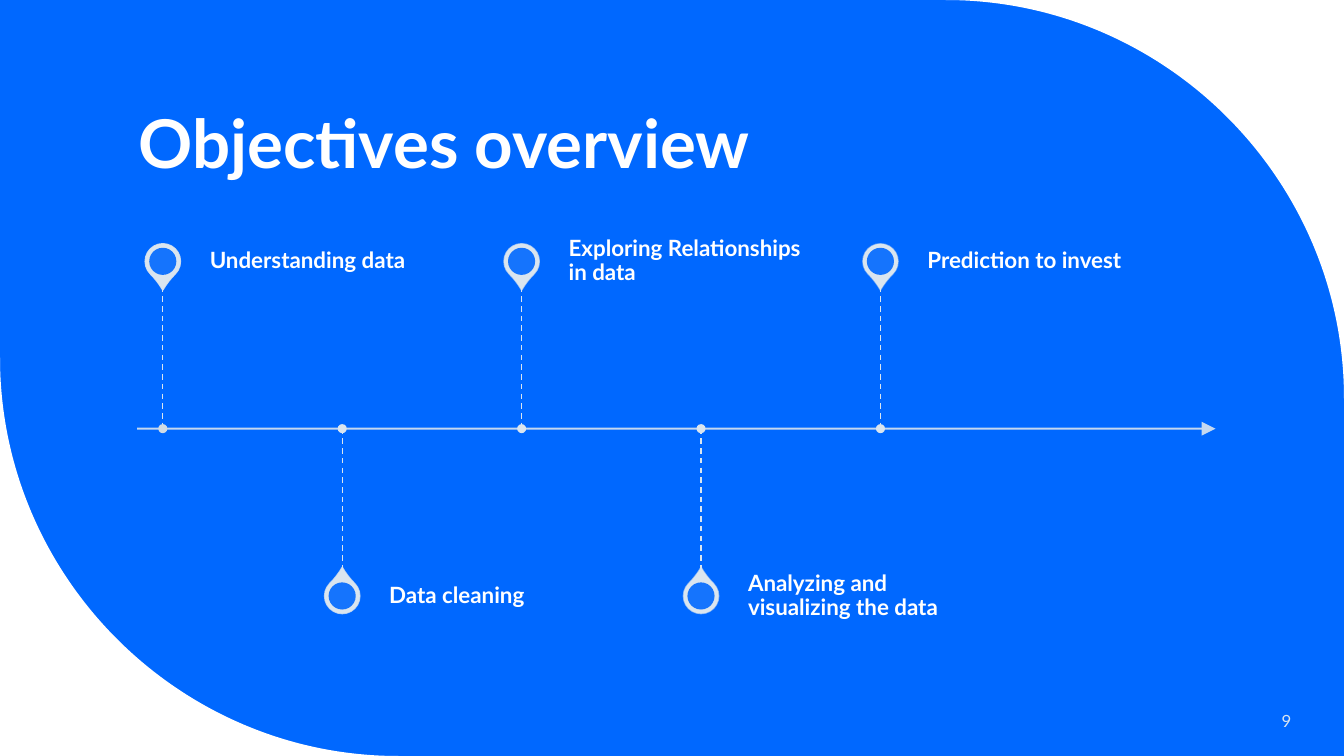
"""Build the objectives overview slide: a timeline with five pinned milestones."""
from dataclasses import dataclass

from lxml.etree import SubElement
from pptx import Presentation
from pptx.dml.color import RGBColor
from pptx.enum.dml import MSO_LINE
from pptx.enum.shapes import MSO_CONNECTOR, MSO_SHAPE
from pptx.enum.text import MSO_ANCHOR, PP_ALIGN
from pptx.oxml.ns import qn
from pptx.util import Pt

STRAIGHT = MSO_CONNECTOR.STRAIGHT
OVAL, TEARDROP = MSO_SHAPE.OVAL, MSO_SHAPE.TEAR
DASH = MSO_LINE.DASH
LEFT, RIGHT = PP_ALIGN.LEFT, PP_ALIGN.RIGHT
MIDDLE, BOTTOM = MSO_ANCHOR.MIDDLE, MSO_ANCHOR.BOTTOM


@dataclass(frozen=True)
class Theme:
    blue: RGBColor = RGBColor(0x00, 0x68, 0xFF)
    white: RGBColor = RGBColor(0xFF, 0xFF, 0xFF)
    mist: RGBColor = RGBColor(0xDA, 0xE5, 0xEF)
    first_dot: RGBColor = RGBColor(0xD0, 0xDB, 0xE4)
    font: str = "Lato"
    title_size: int = 48
    label_size: int = 16
    number_size: int = 12


theme = Theme()
WIDTH, HEIGHT = 960, 540
CORNER_RADIUS, CURVE_PULL = 284.5, 0.45
AXIS_Y, AXIS_LEFT, AXIS_RIGHT = 306.2, 98, 868.3
FIRST_X, STEP_X = 116.3, 128.15
PIN_OFFSET, STEM_LENGTH = 119.5, 101.5
PIN_SIZE, HOLE_SIZE, DOT_SIZE = 25.2, 19.4, 6.5
LABEL_GAP, LABEL_WIDTH, LABEL_HEIGHT = 33.6, 182.5, 36
MILESTONES = [
    "Understanding data",
    "Data cleaning",
    "Exploring Relationships in data",
    "Analyzing and visualizing the data",
    "Prediction to invest",
]

deck = Presentation()
deck.slide_width, deck.slide_height = Pt(WIDTH), Pt(HEIGHT)
page = deck.slides.add_slide(deck.slide_layouts[6])
page.background.fill.solid()
page.background.fill.fore_color.rgb = theme.blue


def add_marker(kind, center_x, center_y, size, color):
    """Add a borderless preset shape around a centre point."""
    marker = page.shapes.add_shape(
        kind, Pt(center_x - size / 2), Pt(center_y - size / 2), Pt(size), Pt(size))
    marker.shadow.inherit = False
    marker.fill.solid()
    marker.fill.fore_color.rgb = color
    marker.line.fill.background()
    return marker


def add_text(text, left, top, width, height, size, color, bold, anchor, align=LEFT):
    """Add a wrapping text box with one paragraph."""
    box = page.shapes.add_textbox(Pt(left), Pt(top), Pt(width), Pt(height))
    frame = box.text_frame
    frame.word_wrap = True
    frame.vertical_anchor = anchor
    para = frame.paragraphs[0]
    para.text = text
    para.alignment = align
    para.font.name, para.font.size = theme.font, Pt(size)
    para.font.bold, para.font.color.rgb = bold, color
    return box


near = CORNER_RADIUS * CURVE_PULL
for corner_x, corner_y, inward in [(WIDTH, 0, 1), (0, HEIGHT, -1)]:
    offsets = [(CORNER_RADIUS, 0), (near, 0), (0, near), (0, CORNER_RADIUS)]
    points = [(Pt(corner_x - inward * across), Pt(corner_y + inward * down))
              for across, down in offsets]
    builder = page.shapes.build_freeform(Pt(corner_x), Pt(corner_y))
    builder.add_line_segments(points, close=True)
    corner = builder.convert_to_shape()
    corner.shadow.inherit = False
    corner.fill.solid()
    corner.fill.fore_color.rgb = theme.white
    corner.line.fill.background()
    segments = list(corner._element.spPr.iter(qn("a:lnTo")))[1:4]
    outline = segments[0].getparent()
    curve = SubElement(outline, qn("a:cubicBezTo"))
    segments[0].addprevious(curve)
    for segment in segments:
        curve.append(segment[0])
        outline.remove(segment)

title = add_text("Objectives overview", 91.8, 29.6, 769.7, 104.5,
                 theme.title_size, theme.white, True, BOTTOM)
title.text_frame.paragraphs[0].line_spacing = 0.9

axis = page.shapes.add_connector(
    STRAIGHT, Pt(AXIS_LEFT), Pt(AXIS_Y), Pt(AXIS_RIGHT), Pt(AXIS_Y))
axis.line.color.rgb = theme.mist
axis.line.width = Pt(1.5)
SubElement(axis._element.spPr.find(qn("a:ln")), qn("a:tailEnd"),
           type="triangle", w="lg", len="lg")
connectors = [axis]
translucent = [(axis, 90)]

for index, label in enumerate(MILESTONES):
    x = FIRST_X + index * STEP_X
    side = 1 if index % 2 else -1
    pin_y = AXIS_Y + side * PIN_OFFSET

    pin = add_marker(TEARDROP, x, pin_y, PIN_SIZE, theme.mist)
    pin.adjustments[0] = 1.15
    pin.rotation = 315 if side > 0 else 135
    pin.line.color.rgb = theme.mist
    pin.line.width = Pt(1)
    hole = add_marker(OVAL, x, pin_y, HOLE_SIZE, theme.blue)
    translucent += [(pin, 90 - 10 * index), (hole, 90)]

    box = add_text(label, x + LABEL_GAP, pin_y - LABEL_HEIGHT / 2, LABEL_WIDTH,
                   LABEL_HEIGHT, theme.label_size, theme.white, True, MIDDLE)
    frame = box.text_frame
    frame.margin_left = frame.margin_top = frame.margin_bottom = 0
    frame.margin_right = Pt(8)
    frame.paragraphs[0].line_spacing = 0.9

    ends = sorted([AXIS_Y, AXIS_Y + side * STEM_LENGTH])
    stem = page.shapes.add_connector(STRAIGHT, Pt(x), Pt(ends[0]), Pt(x), Pt(ends[1]))
    stem.line.color.rgb = theme.mist
    stem.line.width = Pt(1)
    stem.line.dash_style = DASH
    connectors.append(stem)
    add_marker(OVAL, x, AXIS_Y, DOT_SIZE, theme.mist if index else theme.first_dot)

for connector in connectors:
    SubElement(connector._element.spPr, qn("a:effectLst"))
for shape, percent in translucent:
    color = list(shape._element.spPr.iter(qn("a:srgbClr")))[-1]
    SubElement(color, qn("a:alpha"), val=str(percent * 1000))

add_text("9", 799.2, 500.4, 130.3, 28.8,
         theme.number_size, theme.mist, False, MIDDLE, RIGHT)

deck.save("out.pptx")
